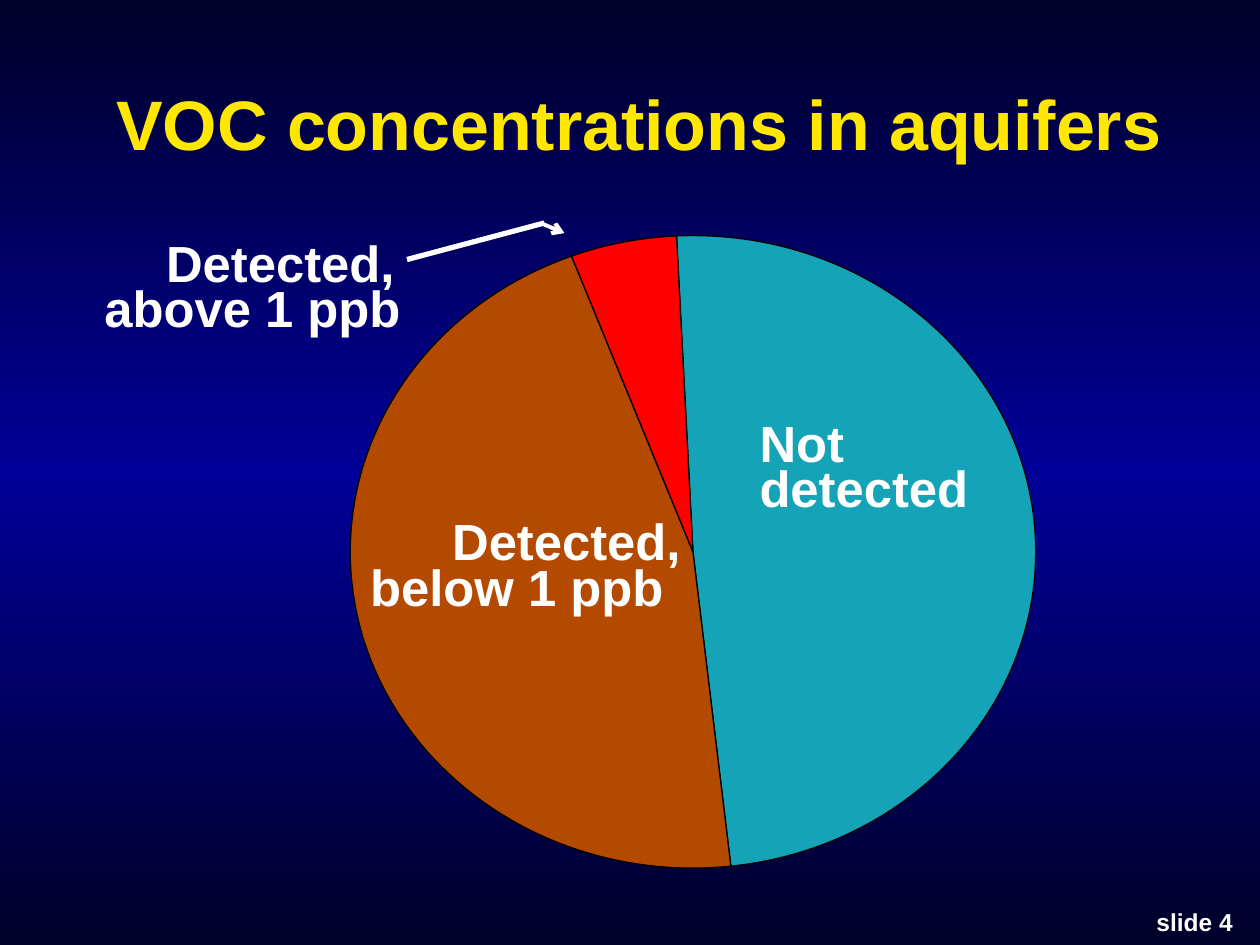
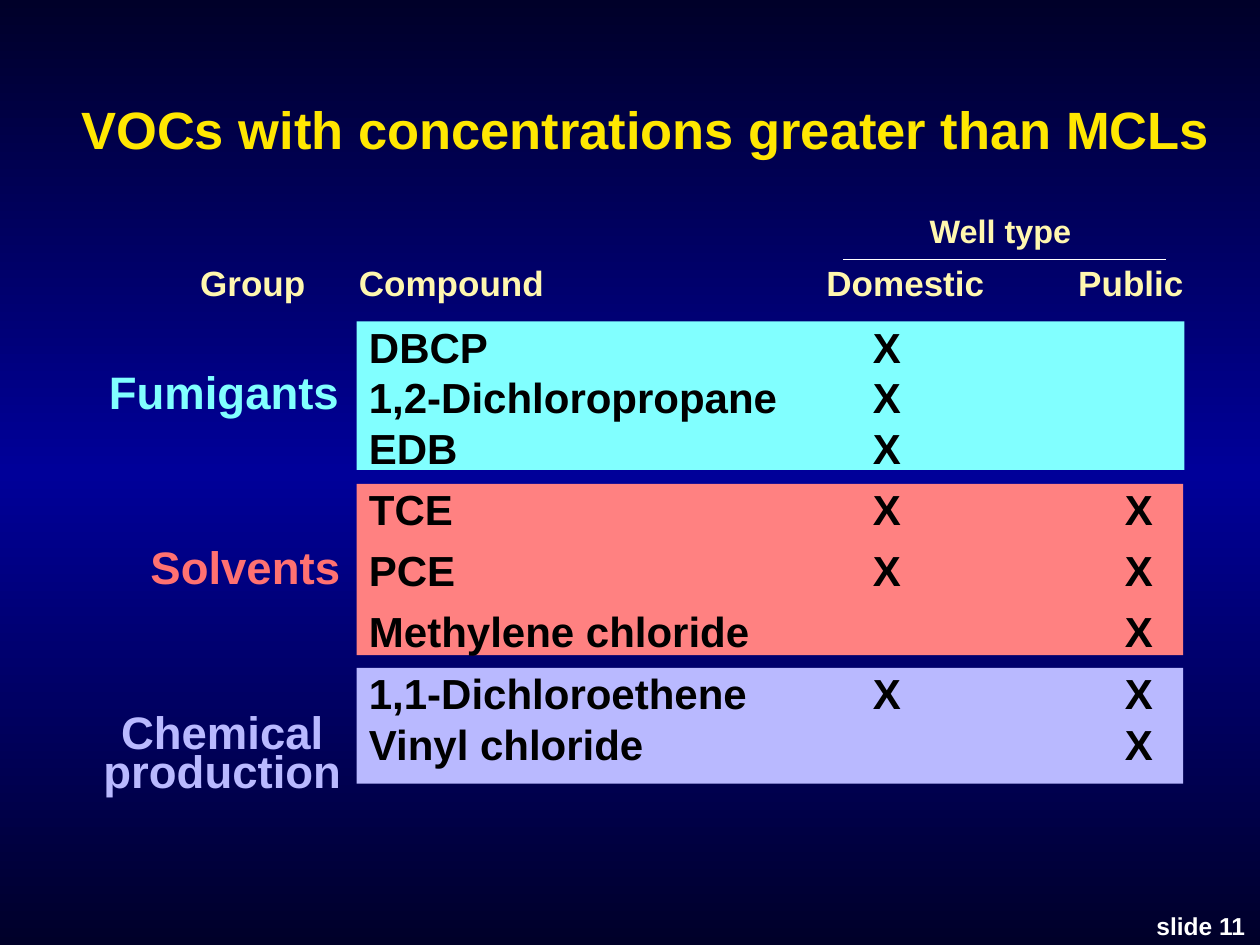
import math
from dataclasses import dataclass
from typing import NamedTuple

from lxml import etree
from pptx import Presentation
from pptx import util as u
from pptx.dml.color import RGBColor
from pptx.enum import shapes, text
from pptx.oxml.ns import qn


# Shared look
@dataclass(frozen=True)
class Theme:
    font: str = "Arial"
    night: str = "000029"
    blue: str = "000099"
    title: str = "FFE701"
    white: str = "FFFFFF"
    black: str = "000000"
    header: str = "FFF7AF"
    teal: str = "15A4B7"
    brown: str = "B44900"
    red: str = "FF0000"
    cyan: str = "81FFFF"
    salmon: str = "FF8181"
    coral: str = "FF7171"
    lilac: str = "B9B9FF"
    big_title_size: float = 40
    title_size: float = 30
    pie_label_size: float = 29
    group_size: float = 26
    row_size: float = 24
    header_size: float = 20
    well_type_size: float = 18.5
    number_size: float = 14


THEME = Theme()
LEFT, CENTER, RIGHT = text.PP_ALIGN.LEFT, text.PP_ALIGN.CENTER, text.PP_ALIGN.RIGHT


class Box(NamedTuple):
    left: float
    top: float
    width: float
    height: float

    def lengths(self) -> list:
        return [u.Inches(value) for value in self]


@dataclass(frozen=True)
class Style:
    size: float
    color: str
    align: text.PP_ALIGN = LEFT
    line_spacing: float = 1.0
    gap: float = 0
    first_indent: float = 0
    tabs: tuple = ()
    top_inset: float = 0.05


@dataclass(frozen=True)
class Label:
    words: str
    box: Box
    style: Style


class Wedge(NamedTuple):
    percent: float
    color: str


class Group(NamedTuple):
    label: Label
    box: Box
    fill: str
    gap: float
    rows: tuple


# Slide 1 content
PIE_CENTER = (5.5, 4.38)
PIE_RADII = (2.72, 2.51)
PIE_START = -2.75
WEDGES = (Wedge(49, THEME.teal), Wedge(46, THEME.brown), Wedge(5, THEME.red))


def pie_style(indent: float = 0) -> Style:
    return Style(THEME.pie_label_size, THEME.white, line_spacing=0.75, first_indent=indent)


PIE_LABELS = (
    Label("Not\ndetected", Box(5.93, 3.33, 1.86, 0.83), pie_style()),
    Label("Detected,\nbelow 1 ppb", Box(2.84, 4.11, 2.77, 0.83), pie_style(0.65)),
    Label("Detected,\nabove 1 ppb", Box(0.73, 1.9, 2.9, 0.83), pie_style(0.49)),
)

# Slide 2 content
HEADER = Style(THEME.header_size, THEME.header)
HEADER_CENTER = Style(THEME.header_size, THEME.header, CENTER)
HEADERS = (
    Label("Group", Box(1.49, 2.03, 1.55, 0.6), HEADER),
    Label("Compound", Box(2.75, 2.03, 3.32, 0.6), HEADER),
    Label("Domestic", Box(5.89, 2.03, 2.59, 0.41), HEADER_CENTER),
    Label("Public", Box(7.68, 2.03, 2.59, 0.41), HEADER_CENTER),
    Label("Well type", Box(7.28, 1.63, 1.55, 0.43), Style(THEME.well_type_size, THEME.header)),
)
WELL_TABS = (4, 6)
GROUPS = (
    Group(
        Label("Fumigants", Box(0.74, 2.84, 2.05, 0.54),
              Style(THEME.group_size, THEME.cyan, RIGHT)),
        Box(2.83, 2.55, 6.57, 1.18), THEME.cyan, 0,
        ("DBCP\tX", "1,2-Dichloropropane\tX", "EDB\tX"),
    ),
    Group(
        Label("Solvents", Box(1.05, 4.23, 1.75, 0.54),
              Style(THEME.group_size, THEME.coral, RIGHT)),
        Box(2.83, 3.84, 6.56, 1.36), THEME.salmon, 6,
        ("TCE\tX\tX", "PCE\tX\tX", "Methylene chloride\t\tX"),
    ),
    Group(
        Label("Chemical\nproduction", Box(0.66, 5.66, 2.21, 0.71),
              Style(THEME.group_size, THEME.lilac, CENTER, 0.7)),
        Box(2.83, 5.3, 6.56, 0.92), THEME.lilac, 0,
        ("1,1-Dichloroethene\tX\tX", "Vinyl chloride\t\tX"),
    ),
)


# Drawing helpers
def rgb(color: str) -> RGBColor:
    return RGBColor.from_string(color)


def write(frame, words: str, style: Style) -> None:
    frame.word_wrap = True
    frame.auto_size = text.MSO_AUTO_SIZE.NONE
    frame.vertical_anchor = text.MSO_ANCHOR.TOP
    frame.margin_left = frame.margin_right = u.Inches(0.1)
    frame.margin_top = u.Inches(style.top_inset)
    frame.margin_bottom = u.Inches(0.05)
    frame.text = words
    for index, para in enumerate(frame.paragraphs):
        props = para._p.get_or_add_pPr()
        if style.first_indent and index == 0:
            props.set("marL", str(u.Inches(style.first_indent)))
        if style.tabs:
            stops = etree.SubElement(props, qn("a:tabLst"))
            for stop in style.tabs:
                etree.SubElement(stops, qn("a:tab"), pos=str(u.Inches(stop)), algn="l")
        para.alignment = style.align
        para.line_spacing = style.line_spacing
        para.space_before = u.Pt(style.gap if index else 0)
        for span in para.runs:
            span.font.name = THEME.font
            span.font.size = u.Pt(style.size)
            span.font.bold = True
            span.font.color.rgb = rgb(style.color)


def add_label(page, label: Label) -> None:
    box = page.shapes.add_textbox(*label.box.lengths())
    write(box.text_frame, label.words, label.style)


def add_line(page, start: tuple, end: tuple, width: float, arrow: bool = False) -> None:
    line = page.shapes.add_connector(
        shapes.MSO_CONNECTOR.STRAIGHT, *[u.Inches(value) for value in start + end])
    line.line.color.rgb = rgb(THEME.white)
    line.line.width = u.Pt(width)
    if arrow:
        etree.SubElement(line.line._get_or_add_ln(), qn("a:tailEnd"), type="arrow")
    etree.SubElement(line._element.spPr, qn("a:effectLst"))


def rim_point(degrees: float, pull: float = 0) -> tuple:
    """Point on the pie's rim, clockwise from the top, moved along the tangent by pull."""
    sine, cosine = math.sin(math.radians(degrees)), math.cos(math.radians(degrees))
    return (u.Inches(PIE_CENTER[0] + PIE_RADII[0] * (sine + pull * cosine)),
            u.Inches(PIE_CENTER[1] - PIE_RADII[1] * (cosine - pull * sine)))


def add_wedge(page, start: float, end: float, color: str) -> None:
    """Draw one sector with a single curve in each quadrant it touches."""
    turns = [start, *(turn for turn in (0, 90, 180, 270) if start < turn < end), end]
    points = [rim_point(start)]
    for first, last in zip(turns, turns[1:]):
        pull = 4 / 3 * math.tan(math.radians(last - first) / 4)
        points += [rim_point(first, pull), rim_point(last, -pull), rim_point(last)]
    builder = page.shapes.build_freeform(*[u.Inches(value) for value in PIE_CENTER])
    builder.add_line_segments(points, close=True)
    wedge = builder.convert_to_shape()

    # Turn each three rim segments into one curve
    segments = wedge._element.xpath(".//a:lnTo")[1:]
    for index in range(0, len(segments), 3):
        curve = etree.Element(qn("a:cubicBezTo"))
        segments[index].addprevious(curve)
        for segment in segments[index:index + 3]:
            curve.append(segment[0])
            segment.getparent().remove(segment)

    wedge.shadow.inherit = False
    wedge.fill.solid()
    wedge.fill.fore_color.rgb = rgb(color)
    wedge.line.color.rgb = rgb(THEME.black)
    wedge.line.width = u.Pt(0.75)


def add_group(page, group: Group) -> None:
    panel = page.shapes.add_shape(shapes.MSO_SHAPE.RECTANGLE, *group.box.lengths())
    panel.shadow.inherit = False
    panel.fill.solid()
    panel.fill.fore_color.rgb = rgb(group.fill)
    panel.line.fill.background()
    write(panel.text_frame, "\n".join(group.rows),
          Style(THEME.row_size, THEME.black, gap=group.gap, tabs=WELL_TABS, top_inset=0))
    add_label(page, group.label)


def paint_background(deck) -> None:
    master = deck.slide_master
    fill = master.background.fill
    fill.gradient()
    fill.gradient_angle = 90
    stops = master.element.xpath(".//p:bg//a:gsLst")[0]
    for stop in list(stops):
        stops.remove(stop)
    for percent, color in ((0, THEME.night), (50, THEME.blue), (100, THEME.night)):
        stop = etree.SubElement(stops, qn("a:gs"), pos=str(percent * 1000))
        etree.SubElement(stop, qn("a:srgbClr"), val=color)


def add_page(deck, title: str, box: Box, size: float, number: int, number_top: float):
    page = deck.slides.add_slide(deck.slide_layouts.get_by_name("Title Only"))
    heading = page.shapes.title
    heading.left, heading.top, heading.width, heading.height = box.lengths()
    write(heading.text_frame, title, Style(size, THEME.title, CENTER))
    add_label(page, Label(f"slide {number}", Box(9.08, number_top, 0.92, 0.34),
                          Style(THEME.number_size, THEME.white)))
    return page


# Slides
def add_concentrations(deck) -> None:
    page = add_page(deck, "VOC concentrations in aquifers",
                    Box(0.14, 0.59, 9.86, 0.77), THEME.big_title_size, 4, 7.15)
    start = PIE_START
    for wedge in WEDGES:
        end = start + wedge.percent * 3.6
        add_wedge(page, start, end, wedge.color)
        start = end
    for label in PIE_LABELS:
        add_label(page, label)
    add_line(page, (3.23, 2.06), (4.32, 1.77), 3)
    add_line(page, (4.29, 1.77), (4.48, 1.85), 2.25, arrow=True)


def add_compounds(deck) -> None:
    page = add_page(deck, "VOCs with concentrations greater than MCLs",
                    Box(0.5, 0.72, 9.25, 0.6), THEME.title_size, 11, 7.18)
    for group in GROUPS:
        add_group(page, group)
    for header in HEADERS:
        add_label(page, header)
    add_line(page, (6.69, 2.06), (9.25, 2.06), 0.75)


def main() -> None:
    deck = Presentation()
    deck.slide_width, deck.slide_height = u.Inches(10), u.Inches(7.5)
    paint_background(deck)
    add_concentrations(deck)
    add_compounds(deck)
    deck.save("out.pptx")


if __name__ == "__main__":
    main()
